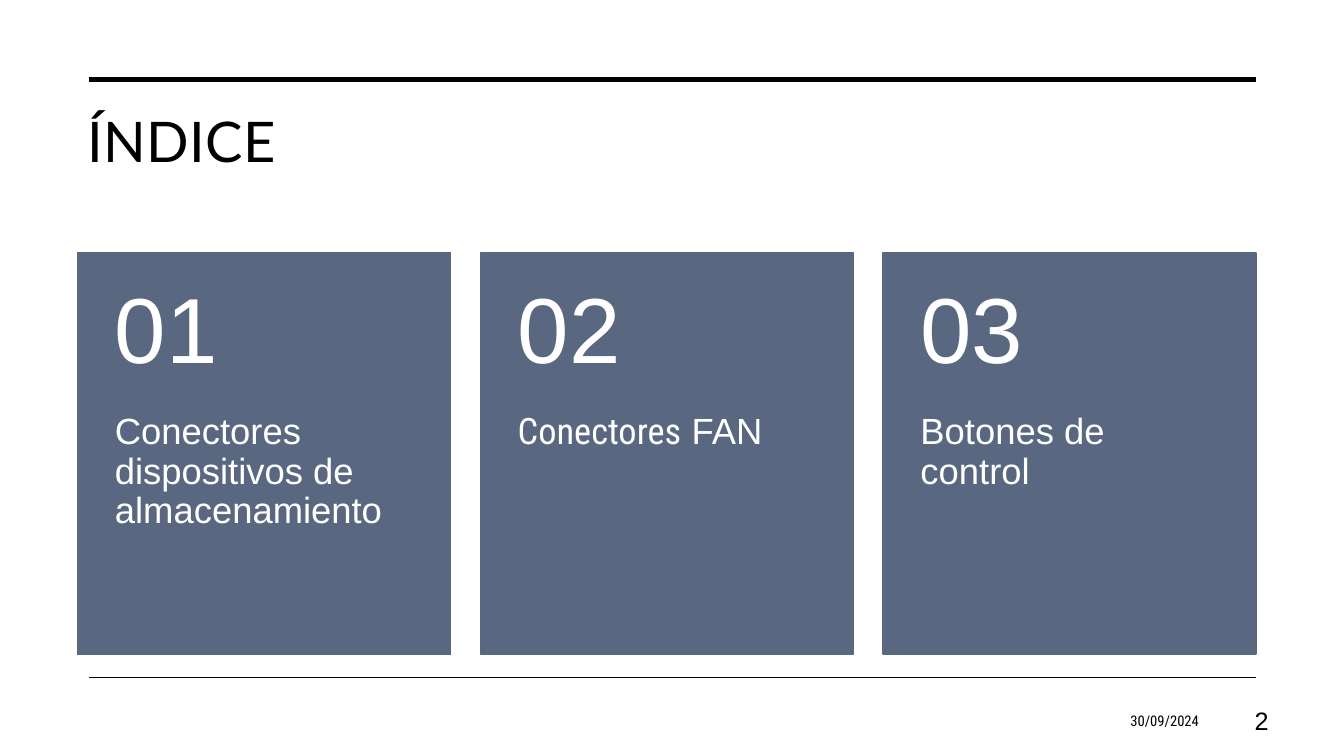
import pptx
import pptx.dml.color
import pptx.enum.shapes
import pptx.enum.text
import pptx.oxml
import pptx.oxml.ns
import pptx.util

IN = pptx.util.Inches
PT = pptx.util.Pt
ALIGN = pptx.enum.text.PP_ALIGN
ANCHOR = pptx.enum.text.MSO_ANCHOR
COLORS = {"ink": "000000", "card": "596781", "paper": "FFFFFF"}


def rgb(name):
    return pptx.dml.color.RGBColor.from_string(COLORS[name])


def add_text(box, runs, size, color="ink", align=ALIGN.LEFT, anchor=ANCHOR.TOP,
             insets=(0.1, 0.05, 0.1, 0.05), line_spacing=1.0, tracking=0):
    """Add a text box; box is left, top, width, height and runs are (text, font) pairs."""
    tf = slide.shapes.add_textbox(*map(IN, box)).text_frame
    tf.word_wrap = True
    tf.vertical_anchor = anchor
    tf.margin_left, tf.margin_top, tf.margin_right, tf.margin_bottom = map(IN, insets)
    p = tf.paragraphs[0]
    p.alignment = align
    p.line_spacing = line_spacing
    for text, font in runs:
        r = p.add_run()
        r.text = text
        r.font.name = font
        r.font.size = PT(size)
        r.font.color.rgb = rgb(color)
        if tracking:
            r.font._element.set("spc", str(round(tracking * 100)))


prs = pptx.Presentation()
prs.slide_width, prs.slide_height = IN(13.33), IN(7.5)
slide = prs.slides.add_slide(prs.slide_layouts[6])

# Page grid
LEFT, RIGHT = 0.77, 12.46
CARD_W, CARD_H, CARD_TOP = 3.7, 3.98, 2.51
NUMBER_H = 0.4 * CARD_H
PAD = 0.1 * CARD_W

# Rules above and below the content
for y, weight in ((0.79, 3.5), (6.72, 1)):
    rule = slide.shapes.add_connector(
        pptx.enum.shapes.MSO_CONNECTOR.STRAIGHT, IN(0.88), IN(y), IN(RIGHT), IN(y))
    rule.line.color.rgb = rgb("ink")
    rule.line.width = PT(weight)
    rule._element.spPr.append(pptx.oxml.parse_xml(
        "<a:effectLst %s/>" % pptx.oxml.ns.nsdecls("a")))

add_text((LEFT, 1.01, RIGHT - LEFT, 1.5), [("ÍNDICE", "Lato")], 40, tracking=0.3)

# Footer
add_text((9.15, 6.95, 2.84, 0.4), [("30/09/2024", "Roboto Condensed")], 10.5,
         align=ALIGN.RIGHT, anchor=ANCHOR.MIDDLE)
add_text((11.94, 6.95, 0.74, 0.4), [("2", "Arial")], 18,
         align=ALIGN.RIGHT, anchor=ANCHOR.MIDDLE)

# Numbered topic cards
topics = [
    [("Conectores dispositivos de almacenamiento", "Arial")],
    [("Conectores", "Roboto Condensed"), (" FAN", "Arial")],
    [("Botones de control", "Arial")],
]
pitch = (RIGHT - LEFT - CARD_W) / (len(topics) - 1)
for i, topic in enumerate(topics):
    x = LEFT + i * pitch
    card = slide.shapes.add_shape(pptx.enum.shapes.MSO_SHAPE.RECTANGLE,
                                  IN(x), IN(CARD_TOP), IN(CARD_W), IN(CARD_H))
    card.shadow.inherit = False
    card.fill.solid()
    card.fill.fore_color.rgb = rgb("card")
    card.line.color.rgb = rgb("card")
    card.line.width = PT(1)
    add_text((x, CARD_TOP + NUMBER_H, CARD_W, CARD_H - NUMBER_H), topic, 26, "paper",
             insets=(PAD, 0, PAD, 0.36), line_spacing=0.9)
    add_text((x, CARD_TOP, CARD_W, NUMBER_H), [(f"{i + 1:02d}", "Arial")], 66, "paper",
             anchor=ANCHOR.MIDDLE, insets=(PAD, 0.18, PAD, 0.18), line_spacing=0.9)

prs.save("out.pptx")
